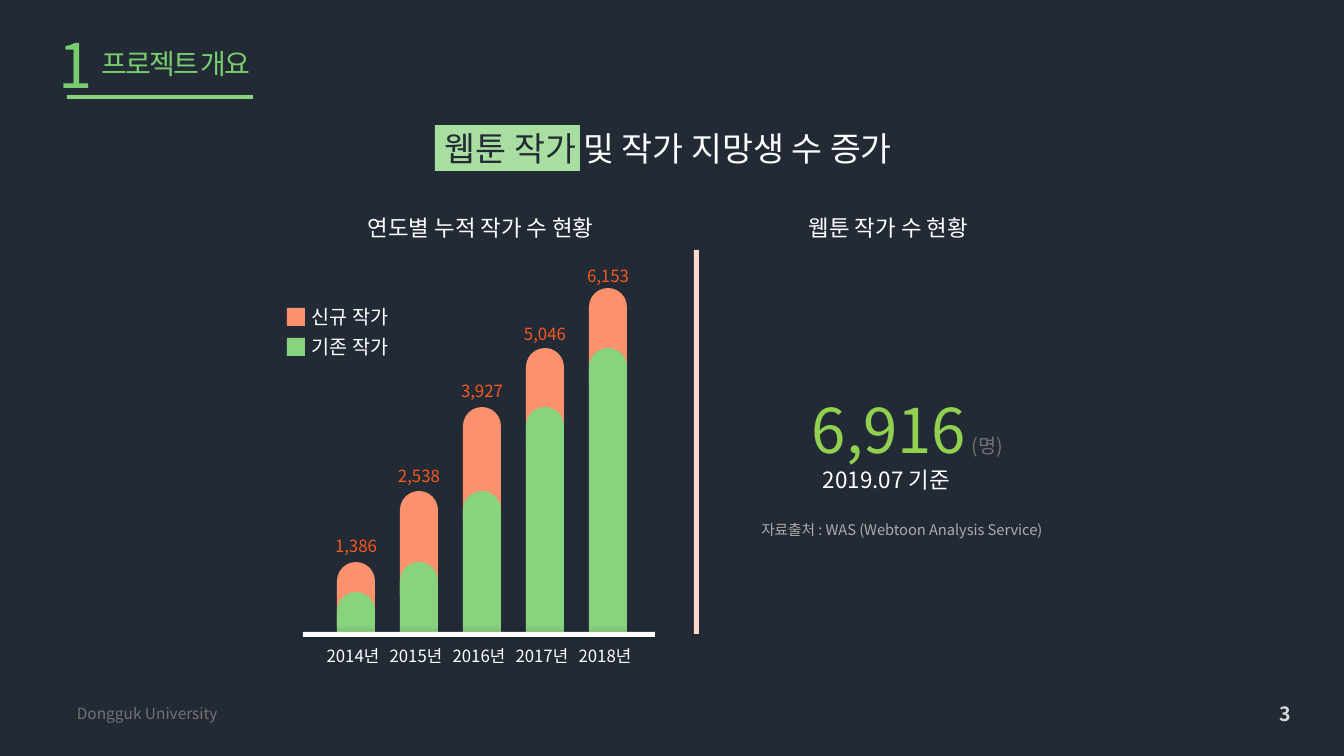
import dataclasses

import lxml.etree
import pptx
import pptx.dml.color
import pptx.enum.shapes
import pptx.enum.text
import pptx.oxml.ns
import pptx.util

EMU_PER_PX = 914400 / 100.8
SHAPES = pptx.enum.shapes.MSO_SHAPE
ALIGN = pptx.enum.text.PP_ALIGN
FIT = pptx.enum.text.MSO_AUTO_SIZE
qn = pptx.oxml.ns.qn


@dataclasses.dataclass(frozen=True)
class Theme:
    font: str = "Noto Sans CJK KR"
    ground: str = "222A35"
    white: str = "FFFFFF"
    new_artists: str = "FB926D"
    existing_artists: str = "88D37E"
    bar_value: str = "F9581F"
    divider: str = "FFDBCD"
    highlight: str = "A8DFA1"
    heading: str = "78CD6D"
    headcount: str = "92D050"
    muted: str = "767171"
    citation: str = "AFABAB"
    page: str = "D9D9D9"
    huge: float = 44
    title: float = 24
    section: float = 20
    subtitle: float = 16
    legend: float = 14
    label: float = 12
    footer: float = 11
    source: float = 10.5


THEME = Theme()

YEARS = [
    ("2014년", "1,386", 562, 533),
    ("2015년", "2,538", 491, 463),
    ("2016년", "3,927", 407, 378),
    ("2017년", "5,046", 348, 321),
    ("2018년", "6,153", 288, 263),
]
FIRST_EXISTING_TOP = 592


def px(length):
    return pptx.util.Emu(round(length * EMU_PER_PX))


def rgb(color):
    return pptx.dml.color.RGBColor.from_string(color)


def add_block(slide, x, y, w, h, color, kind=SHAPES.RECTANGLE):
    block = slide.shapes.add_shape(kind, px(x), px(y), px(w), px(h))
    block.shadow.inherit = False
    block.fill.solid()
    block.fill.fore_color.rgb = rgb(color)
    block.line.fill.background()
    return block


def add_text(slide, x, y, w, h, runs, *, align=ALIGN.LEFT, wrap=True,
             line_spacing=None, bold=False, tracking=None):
    box = slide.shapes.add_textbox(px(x), px(y), px(w), px(h))
    frame = box.text_frame
    frame.word_wrap = wrap
    frame.auto_size = FIT.NONE if wrap else FIT.SHAPE_TO_FIT_TEXT
    paragraph = frame.paragraphs[0]
    paragraph.alignment = align
    paragraph.line_spacing = line_spacing
    for words, size, color in runs:
        run = paragraph.add_run()
        run.text = words
        run.font.size = pptx.util.Pt(size)
        run.font.bold = bold
        run.font.color.rgb = rgb(color)
        run.font.name = THEME.font
        properties = run.font._element
        lxml.etree.SubElement(properties, qn("a:ea"), typeface=THEME.font)
        if tracking is not None:
            properties.set("spc", str(tracking))
    return box


def add_label(slide, x, y, words, size, color, width=112):
    add_text(slide, x, y, width, 46, [(words, size, color)],
             align=ALIGN.CENTER, line_spacing=0.9)


def add_soft_shadow(block):
    effects = block._element.spPr.find(qn("a:effectLst"))
    shadow = lxml.etree.SubElement(
        effects, qn("a:outerShdw"), blurRad=str(pptx.util.Pt(6)), dist="0", dir="18900000")
    color = lxml.etree.SubElement(shadow, qn("a:srgbClr"), val="000000")
    lxml.etree.SubElement(color, qn("a:alpha"), val="20000")


def add_header(slide, x, y):
    add_text(slide, x - 18, y, 58, 85, [("1", THEME.huge, THEME.heading)], wrap=False)
    add_text(slide, x + 25, y + 20, 195, 44,
             [("프로젝트 개요", THEME.section, THEME.heading)], tracking=-150)
    add_block(slide, x, y + 73, 186, 4, THEME.existing_artists)


def add_title(slide, x, y, w):
    add_block(slide, x, y + 2, 145, 46, THEME.highlight)
    add_text(slide, x, y, w, 50, [
        ("웹툰 작가 ", THEME.title, THEME.ground),
        ("및 작가 지망생 수 증가", THEME.title, THEME.white),
    ])


def add_bar(slide, x, top, bottom, color):
    bar = add_block(slide, x, top, 38, bottom - top, color, SHAPES.ROUND_2_SAME_RECTANGLE)
    bar.adjustments[0] = 0.5
    bar.adjustments[1] = 0


def add_artist_chart(slide, x, y, w, h):
    base = y + h
    add_text(slide, x + 55, y, 264, 37,
             [("연도별 누적 작가 수 현황", THEME.subtitle, THEME.white)], wrap=False)
    existing_top = FIRST_EXISTING_TOP
    for index, (year, value, top, value_y) in enumerate(YEARS):
        bar_x = x + 34 + 63 * index
        add_bar(slide, bar_x, top, min(existing_top + 34, base), THEME.new_artists)
        add_bar(slide, bar_x, existing_top, base, THEME.existing_artists)
        add_label(slide, bar_x - 37, value_y, value, THEME.label, THEME.bar_value)
        add_label(slide, bar_x - 40, base + 11, year, THEME.label, THEME.white)
        existing_top = top
    add_soft_shadow(add_block(slide, x, base, w, 5, THEME.white))
    legend = [("신규 작가", THEME.new_artists), ("기존 작가", THEME.existing_artists)]
    for index, (series, color) in enumerate(legend):
        row_y = y + 99 + 30 * index
        add_block(slide, x - 16, row_y, 18, 18, color)
        add_label(slide, x - 9, row_y - 5, series, THEME.legend, THEME.white)


def add_headcount(slide, x, y):
    add_text(slide, x + 119, y, 195, 37,
             [("웹툰 작가 수 현황", THEME.subtitle, THEME.white)], wrap=False)
    add_text(slide, x + 122, y + 178, 231, 85, [
        ("6,916", THEME.huge, THEME.headcount),
        (" ", 18, THEME.muted),
        ("(명)", THEME.legend, THEME.muted),
    ], wrap=False)
    add_text(slide, x + 133, y + 252, 158, 37,
             [("2019.07 기준", THEME.subtitle, THEME.white)], wrap=False)
    add_label(slide, x, y + 309, "자료출처 : WAS (Webtoon Analysis Service)",
              THEME.source, THEME.citation, width=444)


def add_footer(slide, x, y):
    add_text(slide, x, y, 289, 29,
             [("Dongguk University", THEME.footer, THEME.muted)])
    add_text(slide, x + 1198, y - 2, 41, 34, [("3", THEME.legend, THEME.page)],
             align=ALIGN.CENTER, bold=True)


def main():
    deck = pptx.Presentation()
    deck.slide_width, deck.slide_height = px(1344), px(756)
    slide = deck.slides.add_slide(deck.slide_layouts[6])
    slide.background.fill.solid()
    slide.background.fill.fore_color.rgb = rgb(THEME.ground)
    add_header(slide, 67, 22)
    add_title(slide, 435, 123, 474)
    add_artist_chart(slide, 303, 209, 352, 423)
    add_block(slide, 694, 250, 5, 384, THEME.divider)
    add_headcount(slide, 680, 209)
    add_footer(slide, 67, 699)
    deck.save("out.pptx")


if __name__ == "__main__":
    main()
